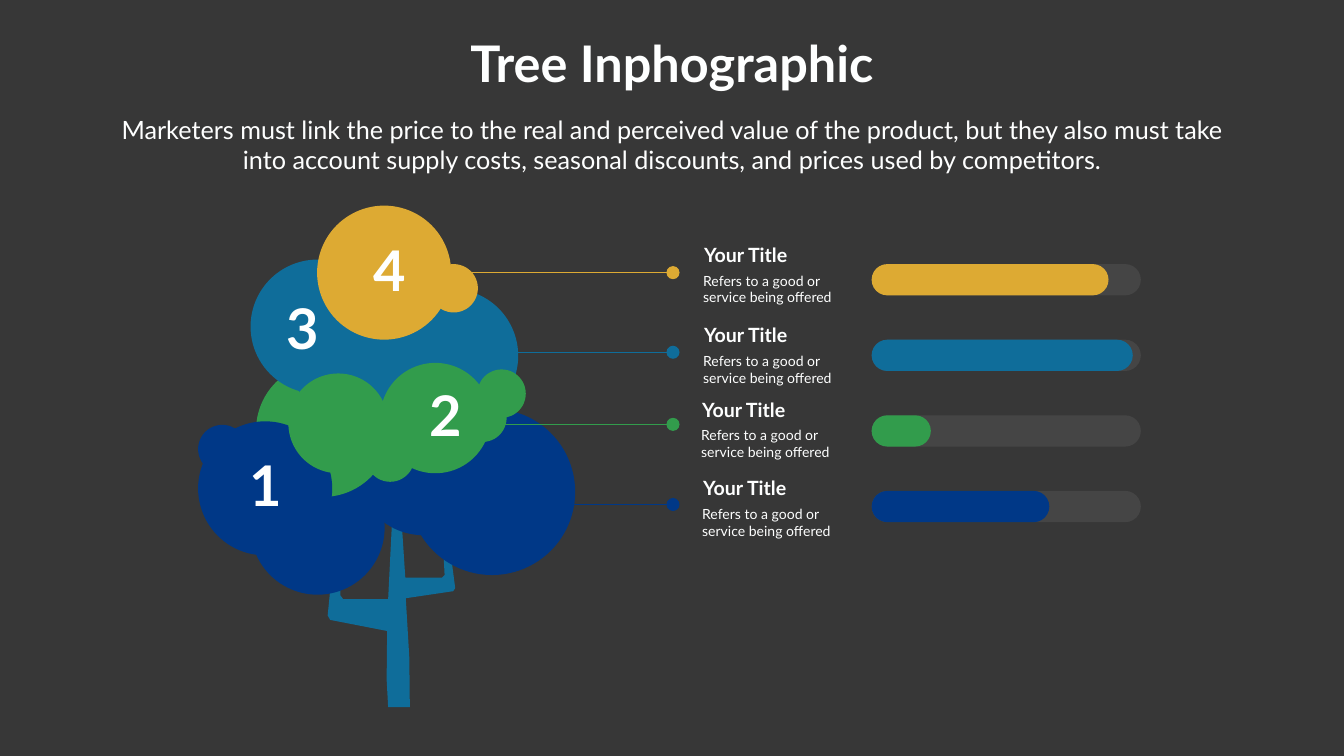
import lxml.etree
import pptx
import pptx.dml.color
import pptx.enum.shapes
import pptx.enum.text
import pptx.oxml.ns
import pptx.util

Inches = pptx.util.Inches
SHAPE = pptx.enum.shapes.MSO_SHAPE
ALIGN = pptx.enum.text.PP_ALIGN
qn = pptx.oxml.ns.qn

YELLOW, BLUE, GREEN, NAVY = "DDAA33", "0F6D9A", "329C4C", "003887"
WHITE, GREY, DARK = "FEFFFF", "808080", "373737"

TRUNK = [
    (120, 395), (163, 395), (162, 297), (155, 179), (249, 165), (253, 159),
    (237, 36), (232, 32), (227, 37), (232, 133), (227, 138), (154, 138),
    (145, 0), (129, 0), (120, 181), (31, 181), (25, 173), (31, 24),
    (25, 16), (19, 23), (0, 213), (5, 222), (118, 244), (117, 340),
]
CROWN = [
    (1.04, 5.06, 2.66, NAVY), (3.14, 3.88, 2.66, NAVY),
    (1.15, 3.12, 2.66, GREEN), (4.18, 4.03, 3.3, NAVY),
    (0, 4.28, 2.66, NAVY), (1.04, 1.07, 2.66, BLUE),
    (1.88, 1.79, 2.66, BLUE), (3.69, 1.65, 2.66, BLUE),
    (2.6, 1.33, 2.66, BLUE), (4.59, 1.16, 0.96, YELLOW),
    (0, 4.35, 0.96, NAVY), (5.54, 3.25, 0.96, GREEN),
    (5.16, 3.73, 0.96, GREEN), (3.33, 4.52, 0.96, GREEN),
    (1.79, 3.33, 1.98, GREEN), (2.36, 0, 2.66, YELLOW),
    (3.61, 3.12, 2.19, GREEN),
]
NUMBERS = [("4", 3.38, 0.55), ("3", 1.65, 1.69), ("2", 4.49, 3.42), ("1", 0.92, 4.81)]
ROWS = [
    (YELLOW, 5.41, 13.87, 4.77),
    (BLUE, 6.99, 13.87, 6.36),
    (GREEN, 8.42, 13.83, 7.84),
    (NAVY, 10.01, 13.85, 9.4),
]
BARS = [(YELLOW, 0.88), (BLUE, 0.97), (GREEN, 0.22), (NAVY, 0.66)]


def rgb(color):
    return pptx.dml.color.RGBColor.from_string(color)


def inches(*values):
    return [Inches(v) for v in values]


def paint(sp, color):
    sp.shadow.inherit = False
    sp.fill.solid()
    sp.fill.fore_color.rgb = rgb(color)
    sp.line.fill.background()


def add_filled(s, kind, box, color):
    sp = s.shapes.add_shape(kind, *inches(*box))
    paint(sp, color)
    return sp


def write(tf, lines, size, bold=False, align=ALIGN.LEFT, wrap=True):
    tf.word_wrap = wrap
    tf.auto_size = pptx.enum.text.MSO_AUTO_SIZE.NONE
    tf.vertical_anchor = pptx.enum.text.MSO_ANCHOR.TOP
    style = {"name": "Lato", "size": pptx.util.Pt(size), "bold": bold}
    for i, line in enumerate(lines):
        p = tf.add_paragraph() if i else tf.paragraphs[0]
        p.alignment = align
        p.space_before = pptx.util.Pt(0)
        r = p.add_run()
        r.text = line
        for key, value in style.items():
            setattr(r.font, key, value)
        r.font.color.rgb = rgb(WHITE)


def add_text(s, box, lines, size, **style):
    write(s.shapes.add_textbox(*inches(*box)).text_frame, lines, size, **style)


def place(sp, box):
    for key, value in zip(("left", "top", "width", "height"), inches(*box)):
        setattr(sp, key, value)


def add_heading(s, x, y, w):
    title, body = s.shapes.title, s.placeholders[1]
    place(title, (x + (w - 8.47) / 2, y, 8.47, 1.31))
    write(title.text_frame, ["Tree Inphographic"], 72, bold=True,
          align=ALIGN.CENTER, wrap=False)
    place(body, (x, y + 1.64, w, 1.35))
    pPr = body.text_frame.paragraphs[0]._p.get_or_add_pPr()
    pPr.set("marL", "0")
    pPr.set("indent", "0")
    lxml.etree.SubElement(pPr, qn("a:buNone"))
    write(body.text_frame, [
        "Marketers must link the price to the real and perceived value of the "
        "product, but they also must take into account supply costs, seasonal "
        "discounts, and prices used by competitors."
    ], 36, align=ALIGN.CENTER)


def add_tree(s, x, y):
    fb = s.shapes.build_freeform(*TRUNK[0], scale=Inches(0.01))
    fb.add_line_segments(TRUNK[1:], close=True)
    paint(fb.convert_to_shape(*inches(x + 2.57, y + 6)), BLUE)
    for dx, dy, d, color in CROWN:
        add_filled(s, SHAPE.OVAL, (x + dx, y + dy, d, d), color)


def add_numbers(s, x, y):
    for number, dx, dy in NUMBERS:
        add_text(s, (x + dx, y + dy, 0.57, 1.45), [number], 80, bold=True,
                 align=ALIGN.CENTER)


def add_pointer(s, x, y, w, color):
    line = s.shapes.add_connector(pptx.enum.shapes.MSO_CONNECTOR.STRAIGHT,
                                  *inches(x, y, x + w, y))
    line.line.color.rgb = rgb(color)
    line.line.width = pptx.util.Pt(0.88)
    lxml.etree.SubElement(line._element.spPr, qn("a:effectLst"))
    d = 0.26
    add_filled(s, SHAPE.OVAL, (x + w - d / 2, y - d / 2, d, d), color)


def add_caption(s, x, y):
    add_text(s, (x, y, 1.92, 0.57), ["Your Title"], 28, bold=True)
    add_text(s, (x - 0.02, y + 0.58, 2.84, 0.77),
             ["Refers to a good or", "service being offered"], 20)


def add_bar(s, x, y, w, h, color, share):
    track = add_filled(s, SHAPE.ROUNDED_RECTANGLE, (x, y, w, h), GREY)
    clr = track._element.spPr.find(".//" + qn("a:srgbClr"))
    lxml.etree.SubElement(clr, qn("a:alpha")).set("val", "20000")
    bar = add_filled(s, SHAPE.ROUNDED_RECTANGLE, (x, y, w * share, h), color)
    for sp in (track, bar):
        sp.adjustments[0] = 0.5


def main():
    prs = pptx.Presentation()
    prs.slide_width, prs.slide_height = inches(26.66, 15)
    s = prs.slides.add_slide(prs.slide_layouts[1])
    s.background.fill.solid()
    s.background.fill.fore_color.rgb = rgb(DARK)
    add_heading(s, 1.84, 0.58, 22.98)
    add_tree(s, 3.93, 4.08)
    for color, line_y, text_x, text_y in ROWS:
        add_pointer(s, 7.62, line_y, 5.73, color)
        add_caption(s, text_x, text_y)
    for i, (color, share) in enumerate(BARS):
        add_bar(s, 17.29, 5.24 + 1.5 * i, 5.34, 0.62, color, share)
    add_numbers(s, 3.93, 4.08)
    prs.save("out.pptx")


if __name__ == "__main__":
    main()
